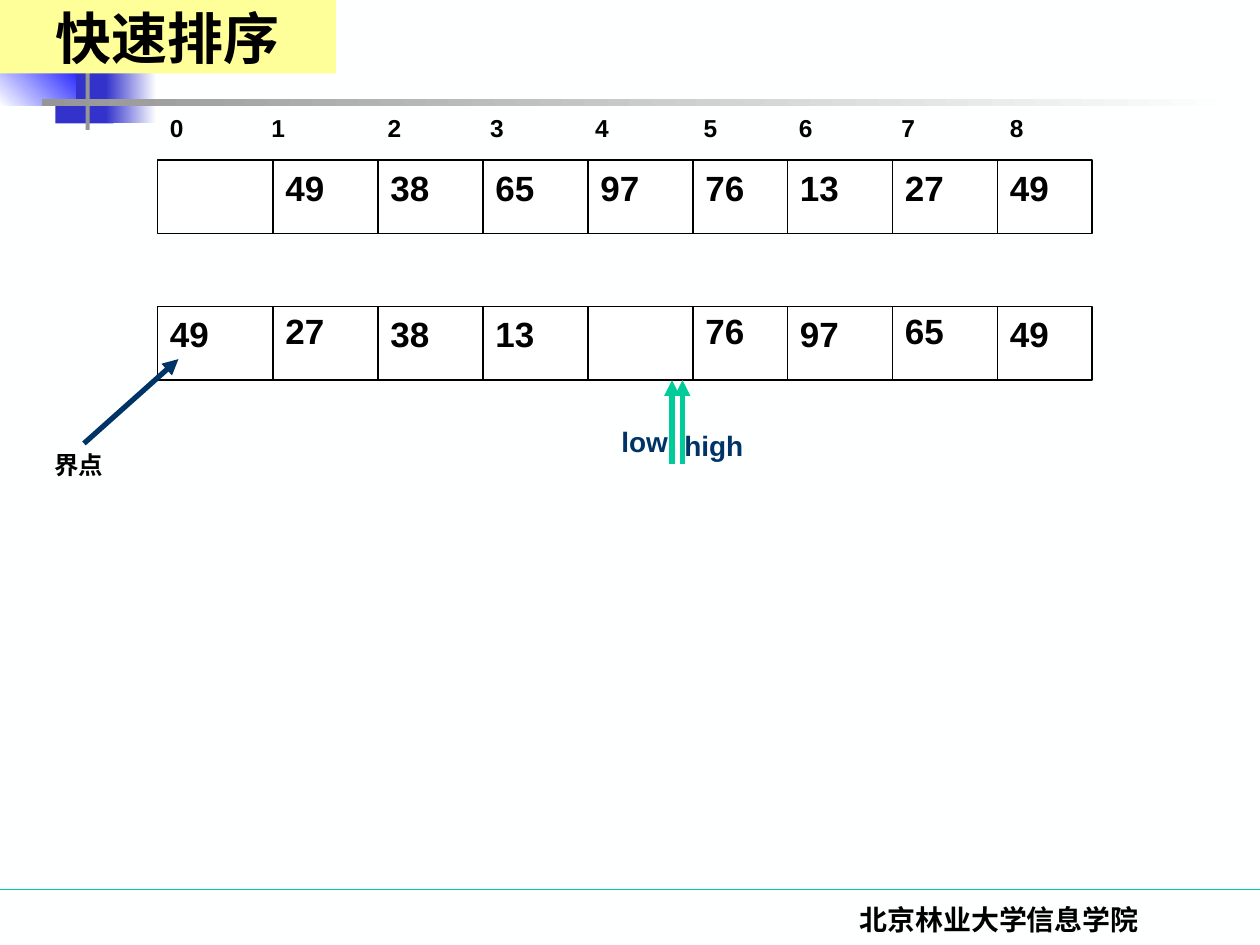
from lxml.etree import SubElement
from pptx import Presentation
from pptx.dml.color import RGBColor
from pptx.enum.shapes import MSO_CONNECTOR, MSO_SHAPE
from pptx.enum.text import MSO_ANCHOR, MSO_AUTO_SIZE, PP_ALIGN
from pptx.oxml.ns import qn
from pptx.util import Pt

BLACK, NAVY, GREEN, PAPER = "000000", "003366", "00CC99", "FEFFFF"
EDGES = [90, 156, 216, 276, 336, 396, 450, 510, 570, 624]
ROW = 42
TOP_A, TOP_B = 91.5, 175.2
LIFT = 1.7  # some cells of the second row sit slightly higher
TABS = [58, 124.5, 183, 243, 305, 359.5, 418, 480]


def color(code):
    return RGBColor.from_string(code)


def write(shape, words, size, tint=BLACK, face="Arial", align=None, tabs=()):
    para = shape.text_frame.paragraphs[0]
    if tabs:
        stops = SubElement(para._p.get_or_add_pPr(), qn("a:tabLst"))
        for pos in tabs:
            SubElement(stops, qn("a:tab"), pos=str(Pt(pos)), algn="l")
    para.alignment = align
    run = para.add_run()
    run.text = words
    style = {"name": face, "size": Pt(size), "bold": True}
    for key, value in style.items():
        setattr(run.font, key, value)
    run.font.color.rgb = color(tint)


def label(slide, box, words, size, grow=True, **style):
    shape = slide.shapes.add_textbox(*map(Pt, box))
    shape.text_frame.word_wrap = True
    if grow:
        shape.text_frame.auto_size = MSO_AUTO_SIZE.SHAPE_TO_FIT_TEXT
    write(shape, words, size, **style)


def block(slide, box, fill, edge=None, angle=0):
    """Rectangle; a pair of colours as fill makes a gradient."""
    shape = slide.shapes.add_shape(MSO_SHAPE.RECTANGLE, *map(Pt, box))
    shape.shadow.inherit = False
    if isinstance(fill, tuple):
        shape.fill.gradient()
        shape.fill.gradient_angle = angle
        for stop, code in zip(shape.fill.gradient_stops, fill):
            stop.color.rgb = color(code)
    else:
        shape.fill.solid()
        shape.fill.fore_color.rgb = color(fill)
    if edge:
        shape.line.color.rgb = color(edge)
        shape.line.width = Pt(0.75)
    else:
        shape.line.fill.background()
    return shape


def rule(slide, start, end, tint, width=0.75, arrow=False):
    line = slide.shapes.add_connector(
        MSO_CONNECTOR.STRAIGHT, *map(Pt, start + end))
    line.line.color.rgb = color(tint)
    line.line.width = Pt(width)
    props = line.element.spPr
    if arrow:
        SubElement(props.find(qn("a:ln")), qn("a:tailEnd"), type="triangle")
    SubElement(props, qn("a:effectLst"))


def array(slide, top, values, raised=()):
    block(slide, (EDGES[0], top, EDGES[-1] - EDGES[0], ROW), "FFFFFF", BLACK)
    for x in EDGES[1:-1]:
        rule(slide, (x, top), (x, top + ROW), BLACK)
    for col, value in enumerate(values):
        if value:
            y = top - LIFT if col in raised else top
            label(slide, (EDGES[col], y, 48, 31.5), value, 20)


def pointer(slide, x, words, left, top):
    end = TOP_B + ROW
    rule(slide, (x, end + 48), (x, end), GREEN, 3, True)
    label(slide, (left, top, 66, 26.5), words, 16, tint=NAVY)


def decor(slide):
    rule(slide, (0, 508.3), (720, 508.3), GREEN)
    block(slide, (31.7, 33.1, 33.1, 37.4), "3333CC")
    block(slide, (60.5, 33.1, 28.8, 37.4), ("3333CC", PAPER))
    block(slide, (0, 27.4, 43.2, 33.1), (PAPER, "0000FF"), angle=45)
    block(slide, (49, 0, 2.2, 74.2), "969696")
    block(slide, (23.8, 56.4, 684.7, 4.2), ("969696", PAPER))


def main():
    deck = Presentation()
    deck.slide_width, deck.slide_height = Pt(720), Pt(540)
    slide = deck.slides.add_slide(deck.slide_layouts[6])
    slide.background.fill.solid()
    slide.background.fill.fore_color.rgb = color(PAPER)

    # Frame and footer
    decor(slide)
    label(slide, (422, 512, 298, 36 - 8), "北京林业大学信息学院", 16, grow=False,
          face="Times New Roman", align=PP_ALIGN.CENTER)

    # Arrays before and after the pass
    array(slide, TOP_B, ["49", "27", "38", "13", "", "76", "97", "65", "49"],
          raised=(1, 5, 7))
    array(slide, TOP_A, ["", "49", "38", "65", "97", "76", "13", "27", "49"])
    label(slide, (90, 61.2, 534, 24.2), "\t".join(map(str, range(9))), 14,
          tabs=TABS)

    # Pointers and pivot
    pointer(slide, 390, "high", 384, 241.2)
    pointer(slide, 384, "low", 348, 239)
    label(slide, (24, 253.4, 60, 24.2), "界点", 14)
    rule(slide, (48, 253.4), (102, 205.2), NAVY, 3, True)

    # Title
    title = block(slide, (0, 0, 192, 42), "FFFF99")
    title.text_frame.vertical_anchor = MSO_ANCHOR.MIDDLE
    write(title, "快速排序", 32, face="Times New Roman",
          align=PP_ALIGN.CENTER)
    deck.save("out.pptx")


if __name__ == "__main__":
    main()
